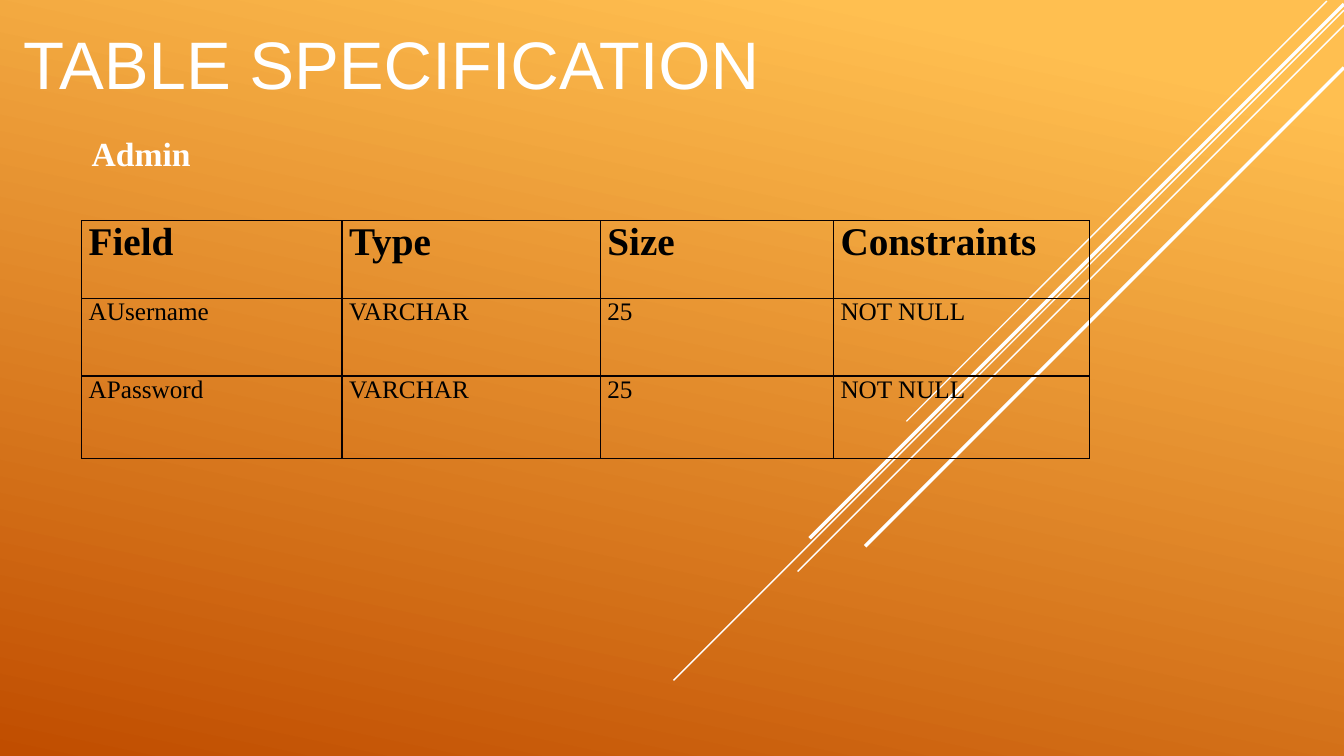
from lxml.etree import SubElement
from pptx import Presentation
from pptx.dml.color import RGBColor
from pptx.enum.shapes import MSO_CONNECTOR
from pptx.enum.text import MSO_ANCHOR, PP_ALIGN
from pptx.oxml.ns import qn
from pptx.util import Inches, Pt

WHITE = "FFFFFF"
BLACK = "000000"
BORDER = "080000"
SERIF = "Times New Roman"
STREAKS = [
    (13.16, 0.01, 4.17, 1),
    (13.33, 0.1, 6.65, 1),
    (13.33, 0.25, 5.42, 1),
    (13.33, 0.04, 5.3, 2.5),
    (13.33, 0.67, 4.75, 2.5),
]
COLUMN_WIDTHS = [2.58, 2.56, 2.31, 2.54]
ROW_HEIGHTS = [0.77, 0.77, 0.82]
ADMIN_FIELDS = [
    ["Field", "Type", "Size", "Constraints"],
    ["AUsername", "VARCHAR", "25", "NOT NULL"],
    ["APassword", "VARCHAR", "25", "NOT NULL"],
]


def colour(value):
    return RGBColor.from_string(value)


def style(para, text, size, name, value, bold=False):
    para.text = text
    para.font.size = Pt(size)
    para.font.name = name
    para.font.bold = bold
    para.font.color.rgb = colour(value)


def paint_background(page):
    fill = page.background.fill
    fill.gradient()
    fill.gradient_angle = 258
    stops = [(0.1, "FFBF50"), (1, "C04D00")]
    for stop, (position, value) in zip(fill.gradient_stops, stops):
        stop.position = position
        stop.color.rgb = colour(value)


def add_streaks(page):
    for right, top, reach, weight in STREAKS:
        streak = page.shapes.add_connector(
            MSO_CONNECTOR.STRAIGHT,
            Inches(right), Inches(top), Inches(right - reach), Inches(top + reach),
        )
        streak.line.color.rgb = colour(WHITE)
        streak.line.width = Pt(weight)
        SubElement(streak._element.spPr, qn("a:effectLst"))


def place_title(page, left, top, width, height):
    title = page.shapes.title
    title.left, title.top = Inches(left), Inches(top)
    title.width, title.height = Inches(width), Inches(height)
    title.text_frame.vertical_anchor = MSO_ANCHOR.BOTTOM
    para = title.text_frame.paragraphs[0]
    style(para, "TABLE SPECIFICATION", 48, "Arial", WHITE)
    para.alignment = PP_ALIGN.LEFT


def add_heading(page, left, top, width, height):
    box = page.shapes.add_textbox(Inches(left), Inches(top), Inches(width), Inches(height))
    box.text_frame.word_wrap = True
    style(box.text_frame.paragraphs[0], "Admin", 24, SERIF, WHITE, True)


def add_borders(cell):
    properties = cell._tc.get_or_add_tcPr()
    for index, side in enumerate(["lnL", "lnR", "lnT", "lnB"]):
        line = properties.makeelement(qn(f"a:{side}"), {"w": str(Pt(1))})
        properties.insert(index, line)
        fill = SubElement(line, qn("a:solidFill"))
        SubElement(fill, qn("a:srgbClr"), val=BORDER)


def add_field_table(page, left, top, width, height):
    table = page.shapes.add_table(
        len(ROW_HEIGHTS), len(COLUMN_WIDTHS),
        Inches(left), Inches(top), Inches(width), Inches(height),
    ).table
    table.first_row = False
    table.horz_banding = False
    for column, share in zip(table.columns, COLUMN_WIDTHS):
        column.width = Inches(width * share / sum(COLUMN_WIDTHS))
    for row, share in zip(table.rows, ROW_HEIGHTS):
        row.height = Inches(height * share / sum(ROW_HEIGHTS))
    for row_index, values in enumerate(ADMIN_FIELDS):
        header = row_index == 0
        for column_index, value in enumerate(values):
            cell = table.cell(row_index, column_index)
            cell.margin_left = cell.margin_right = Inches(0.07)
            cell.margin_top = cell.margin_bottom = 0
            cell.fill.background()
            para = cell.text_frame.paragraphs[0]
            style(para, value, 28 if header else 18, SERIF, BLACK, header)
            add_borders(cell)


def build_specification_slide(deck):
    page = deck.slides.add_slide(deck.slide_layouts[5])
    paint_background(page)
    add_streaks(page)
    place_title(page, 0.13, 0, 8.38, 1.07)
    add_heading(page, 0.81, 1.27, 2.12, 0.5)
    add_field_table(page, 0.81, 2.19, 10, 2.36)


def main():
    deck = Presentation()
    deck.slide_width = Inches(13.33)
    deck.slide_height = Inches(7.5)
    build_specification_slide(deck)
    deck.save("out.pptx")


if __name__ == "__main__":
    main()
